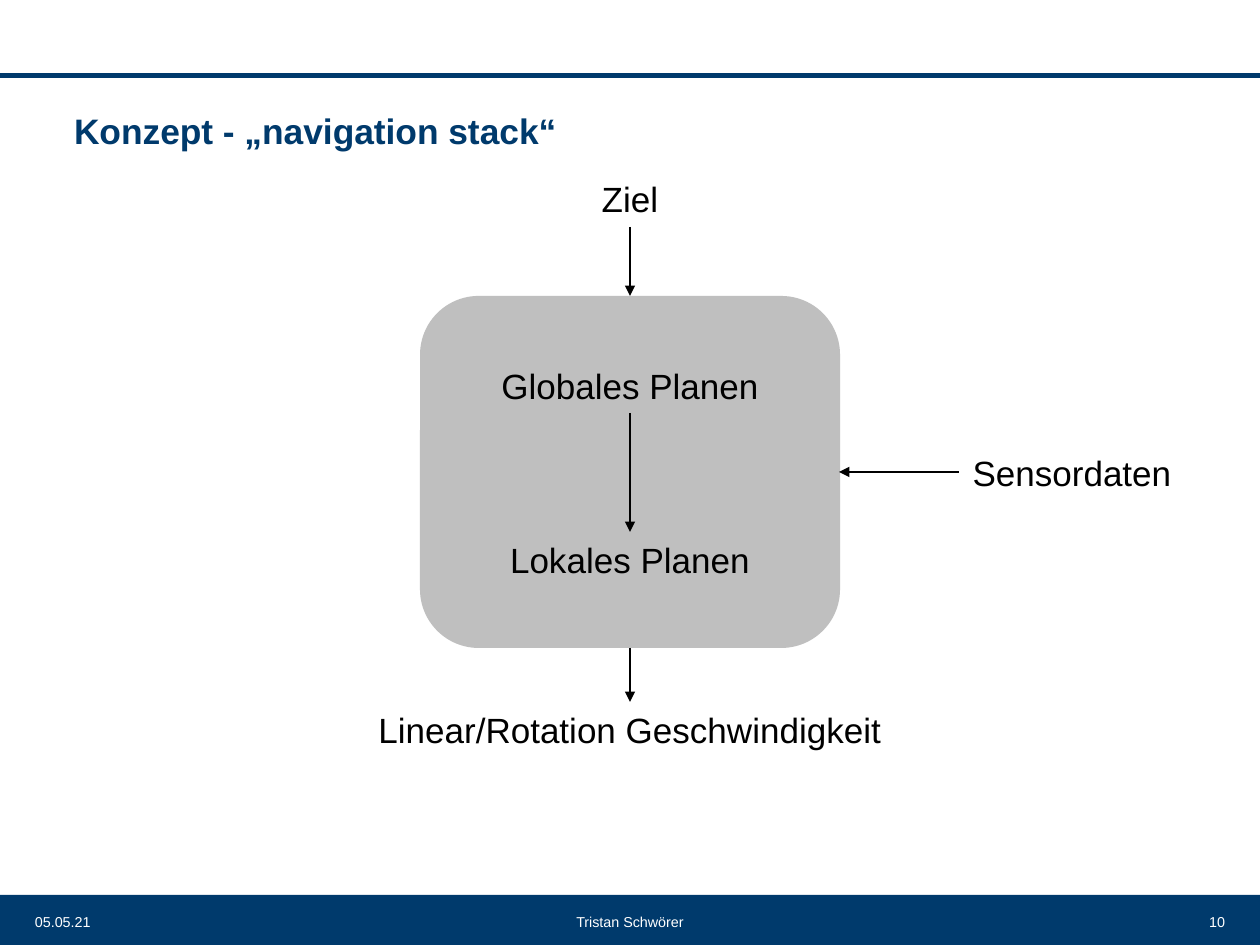
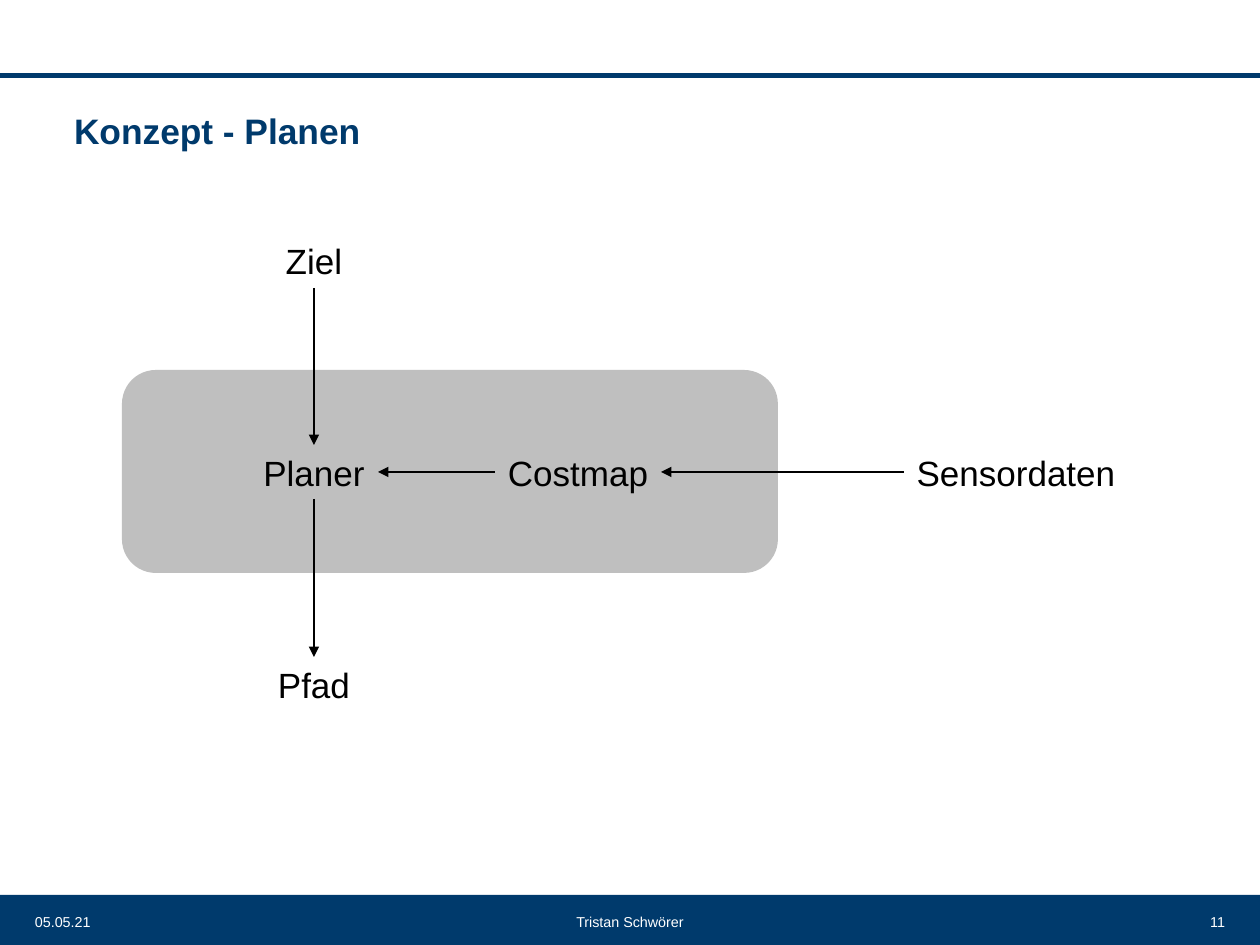
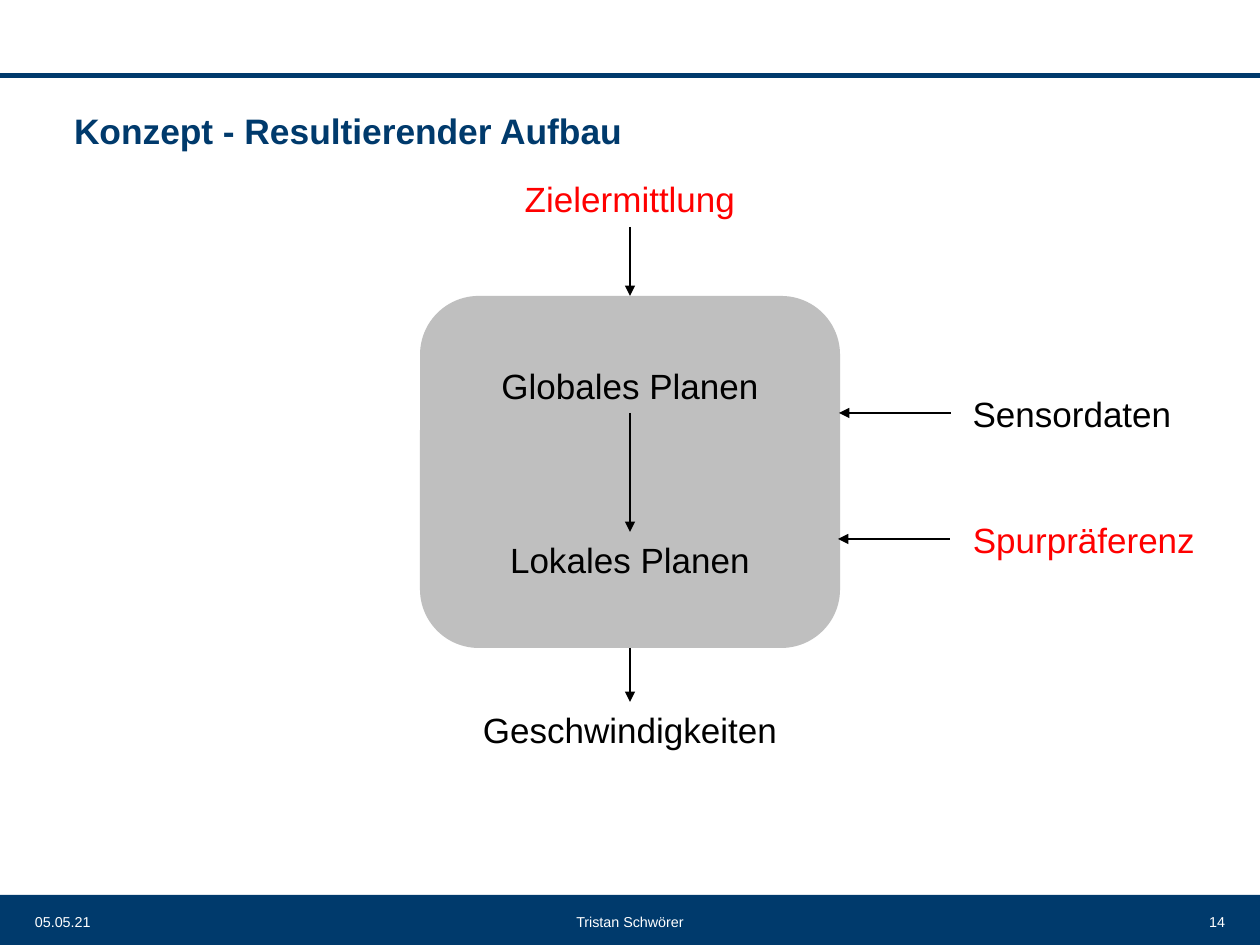
from lxml import etree
from pptx import Presentation
from pptx.dml.color import RGBColor
from pptx.enum.dml import MSO_LINE
from pptx.enum.shapes import MSO_CONNECTOR, MSO_SHAPE
from pptx.enum.text import MSO_ANCHOR, MSO_AUTO_SIZE, PP_ALIGN
from pptx.oxml.ns import qn
from pptx.util import Emu, Pt

NAVY = RGBColor(0x00, 0x3A, 0x6C)
GREY = RGBColor(0xBF, 0xBF, 0xBF)
BLACK = RGBColor(0x00, 0x00, 0x00)
WHITE = RGBColor(0xFF, 0xFF, 0xFF)
RED = RGBColor(0xFF, 0x00, 0x00)

RECTANGLE = MSO_SHAPE.RECTANGLE
ROUNDED = MSO_SHAPE.ROUNDED_RECTANGLE
STRAIGHT = MSO_CONNECTOR.STRAIGHT
SOLID = MSO_LINE.SOLID
MIDDLE = MSO_ANCHOR.MIDDLE
TOP = MSO_ANCHOR.TOP
GROW = MSO_AUTO_SIZE.SHAPE_TO_FIT_TEXT
LEFT, CENTER, RIGHT = PP_ALIGN.LEFT, PP_ALIGN.CENTER, PP_ALIGN.RIGHT

FONT = "Arial"
EMU_PER_PX = 914400 / 126
LABEL_HEIGHT = 55
SLIDE_WIDTH, SLIDE_HEIGHT = 1260, 945

# Labels: text, centre x, top, width, colour. Arrows: from x, y, to x, y.
STACK_BOX = (420, 296, 420, 352)
STACK_LABELS = [
    ("Globales Planen", 630, 358, 285, BLACK),
    ("Lokales Planen", 630, 532, 267, BLACK),
]
STACK_ARROWS = [
    (630, 227, 630, 296),
    (630, 413, 630, 532),
    (630, 648, 630, 702),
]

DIAGRAMS = [
    {
        "title": "Konzept - „navigation stack“",
        "number": "10",
        "box": STACK_BOX,
        "labels": STACK_LABELS + [
            ("Ziel", 630, 171, 83, BLACK),
            ("Sensordaten", 1072, 445, 226, BLACK),
            ("Linear/Rotation Geschwindigkeit", 630, 702, 542, BLACK),
        ],
        "arrows": STACK_ARROWS + [(959, 472, 839, 472)],
    },
    {
        "title": "Konzept - Planen",
        "number": "11",
        "box": (122, 370, 656, 203),
        "labels": [
            ("Sensordaten", 1016, 445, 226, BLACK),
            ("Costmap", 578, 445, 166, BLACK),
            ("Planer", 314, 445, 127, BLACK),
            ("Ziel", 314, 233, 83, BLACK),
            ("Pfad", 314, 657, 98, BLACK),
        ],
        "arrows": [
            (904, 472, 661, 472),
            (495, 472, 378, 472),
            (314, 499, 314, 657),
            (314, 288, 314, 445),
        ],
    },
    {
        "title": "Konzept - Resultierender Aufbau",
        "number": "14",
        "box": STACK_BOX,
        "labels": STACK_LABELS + [
            ("Zielermittlung", 630, 171, 238, RED),
            ("Geschwindigkeiten", 630, 702, 323, BLACK),
            ("Sensordaten", 1072, 386, 226, BLACK),
            ("Spurpräferenz", 1084, 512, 249, RED),
        ],
        "arrows": STACK_ARROWS + [(951, 413, 839, 413), (950, 539, 838, 539)],
    },
]

FOOTERS = [("Tristan Schwörer", 233, 794, CENTER), ("05.05.21", 35, 174, LEFT)]


def to_emu(*lengths):
    return [Emu(round(length * EMU_PER_PX)) for length in lengths]


def add_text(slide, text, place, size, color, alignment):
    """Add a one-line text box without margins, centred vertically."""
    text_box = slide.shapes.add_textbox(*to_emu(*place))
    frame = text_box.text_frame
    frame.margin_left = frame.margin_right = frame.margin_top = frame.margin_bottom = 0
    frame.vertical_anchor = MIDDLE
    frame.word_wrap = True
    paragraph = frame.paragraphs[0]
    paragraph.alignment = alignment
    run = paragraph.add_run()
    run.text = text
    run.font.name = FONT
    run.font.size = Pt(size)
    run.font.color.rgb = color
    return text_box


presentation = Presentation()
presentation.slide_width, presentation.slide_height = to_emu(SLIDE_WIDTH, SLIDE_HEIGHT)
blank_layout = presentation.slide_layouts[6]

for diagram in DIAGRAMS:
    slide = presentation.slides.add_slide(blank_layout)

    for preset, place, color in [
        (RECTANGLE, (0, 73, SLIDE_WIDTH, 5), NAVY),
        (RECTANGLE, (0, 895, SLIDE_WIDTH, 50), NAVY),
        (ROUNDED, diagram["box"], GREY),
    ]:
        shape = slide.shapes.add_shape(preset, *to_emu(*place))
        shape.shadow.inherit = False
        shape.fill.solid()
        shape.fill.fore_color.rgb = color
        shape.line.fill.background()

    title = add_text(slide, diagram["title"], (74, 86, 1152, 89), 20.2, NAVY, LEFT)
    title.text_frame.paragraphs[0].runs[0].font.bold = True

    for text, left, width, alignment in FOOTERS + [(diagram["number"], 1101, 124, RIGHT)]:
        footer = add_text(slide, text, (left, 907, width, 30), 8.2, WHITE, alignment)
        footer.text_frame.paragraphs[0].space_after = Pt(6)

    for text, center, top, width, color in diagram["labels"]:
        place = (center - width / 2, top, width, LABEL_HEIGHT)
        label = add_text(slide, text, place, 20, color, CENTER)
        frame = label.text_frame
        frame.margin_left = frame.margin_right = Pt(7.2)
        frame.margin_top = frame.margin_bottom = Pt(3.6)
        frame.vertical_anchor = TOP
        frame.word_wrap = False
        frame.auto_size = GROW

    for ends in diagram["arrows"]:
        arrow = slide.shapes.add_connector(STRAIGHT, *to_emu(*ends))
        arrow.line.color.rgb = BLACK
        arrow.line.width = Pt(0.75)
        arrow.line.dash_style = SOLID
        properties = arrow.element.spPr
        etree.SubElement(properties.find(qn("a:ln")), qn("a:tailEnd"), type="triangle")
        etree.SubElement(properties, qn("a:effectLst"))

presentation.save("out.pptx")
